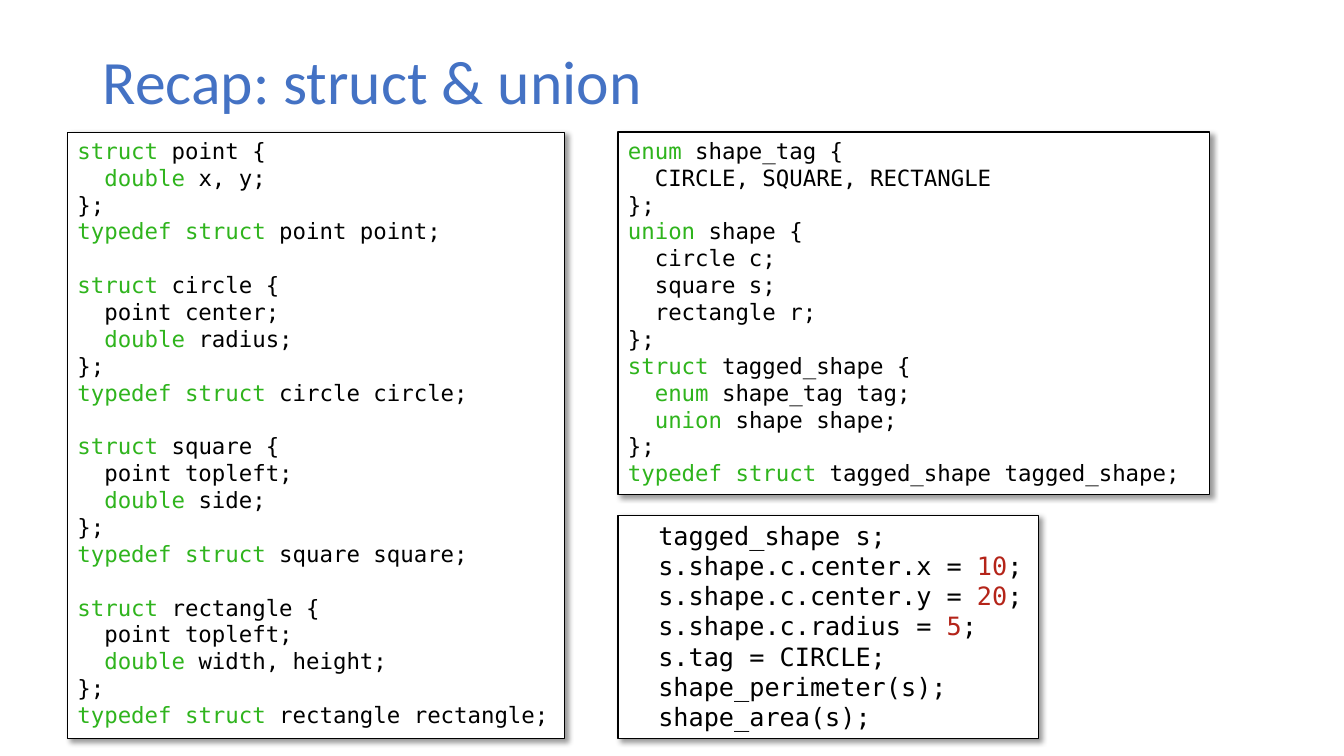
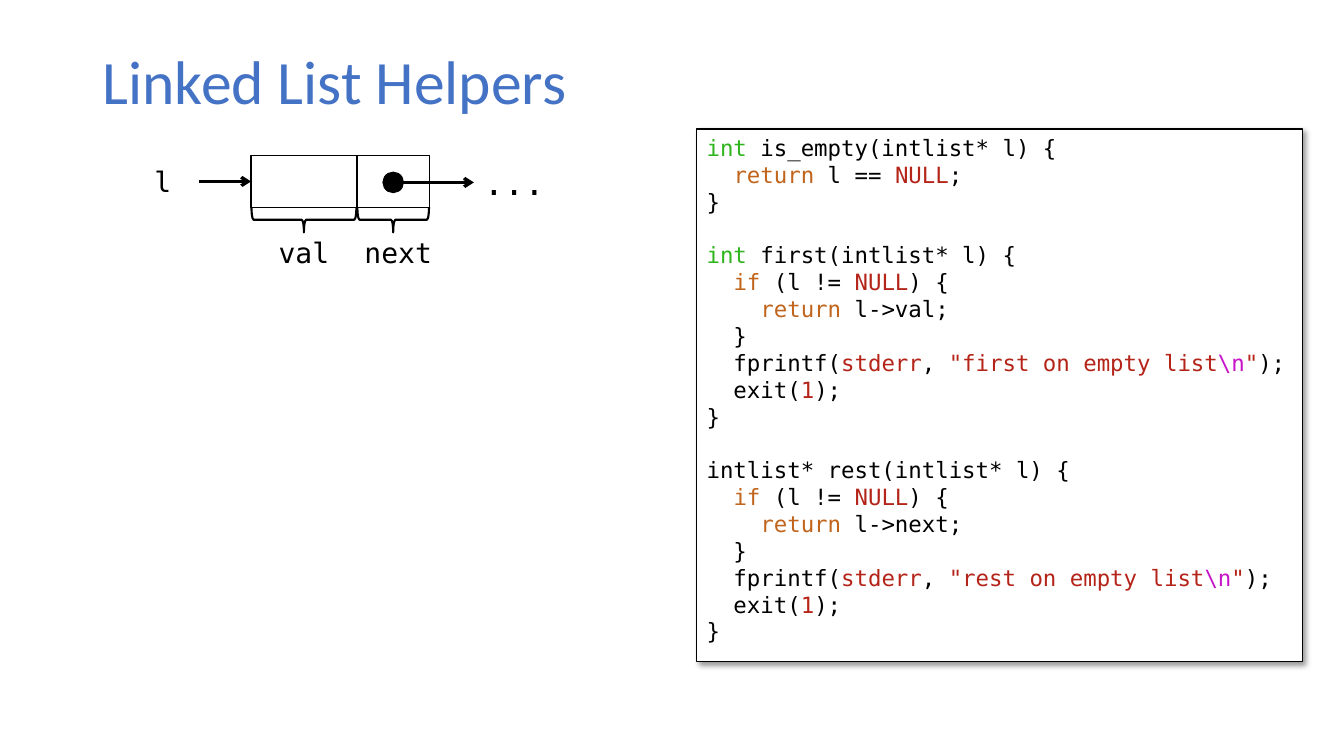
from itertools import groupby

from lxml.etree import SubElement
from pptx import Presentation
from pptx.dml.color import RGBColor
from pptx.enum.shapes import MSO_CONNECTOR, MSO_SHAPE as SHAPE
from pptx.enum.text import MSO_ANCHOR as ANCHOR, PP_ALIGN as ALIGN
from pptx.oxml.ns import qn
from pptx.util import Inches, Pt

COLORS = {
    "title": "4472C4",
    "black": "000000",
    "white": "FFFFFF",
    "type": "2FB41D",
    "control": "C1651C",
    "literal": "B42419",
    "escape": "C814C9",
}
WORDS = {
    **dict.fromkeys(["struct", "typedef", "enum", "union", "int", "double"], "type"),
    **dict.fromkeys(["return", "if"], "control"),
    **dict.fromkeys(["NULL", "stderr"], "literal"),
}

SHAPE_TYPES = """\
struct point {
  double x, y;
};
typedef struct point point;

struct circle {
  point center;
  double radius;
};
typedef struct circle circle;

struct square {
  point topleft;
  double side;
};
typedef struct square square;

struct rectangle {
  point topleft;
  double width, height;
};
typedef struct rectangle rectangle;"""

TAGGED_UNION = """\
enum shape_tag {
  CIRCLE, SQUARE, RECTANGLE
};
union shape {
  circle c;
  square s;
  rectangle r;
};
struct tagged_shape {
  enum shape_tag tag;
  union shape shape;
};
typedef struct tagged_shape tagged_shape;"""

USAGE = """\
  tagged_shape s;
  s.shape.c.center.x = 10;
  s.shape.c.center.y = 20;
  s.shape.c.radius = 5;
  s.tag = CIRCLE;
  shape_perimeter(s);
  shape_area(s);"""

LIST_HELPERS = r"""int is_empty(intlist* l) {
  return l == NULL;
}

int first(intlist* l) {
  if (l != NULL) {
    return l->val;
  }
  fprintf(stderr, "first on empty list\n");
  exit(1);
}

intlist* rest(intlist* l) {
  if (l != NULL) {
    return l->next;
  }
  fprintf(stderr, "rest on empty list\n");
  exit(1);
}"""


def color(name):
    return RGBColor.from_string(COLORS[name])


def tokens(line):
    for index, part in enumerate(line.split('"')):
        if index % 2:
            body, newline, rest = part.partition(r"\n")
            yield '"' + body, "literal"
            yield newline, "escape"
            yield rest + '"', "literal"
        else:
            for _, letters in groupby(part, lambda c: c.isalnum() or c == "_"):
                word = "".join(letters)
                yield word, "literal" if word.isdigit() else WORDS.get(word, "black")


def colored_runs(line):
    for name, group in groupby(tokens(line), lambda token: token[1]):
        yield "".join(text for text, _ in group), name


class Deck:
    """Hold the shared style and the current slide, and draw its elements."""

    TITLE_FONT = "Calibri"
    CODE_FONT = "DejaVu Sans Mono"
    LINE_PITCH = 1.2

    def __init__(self):
        self.presentation = Presentation()
        self.presentation.slide_width = Inches(13.33)
        self.presentation.slide_height = Inches(7.5)
        self.slide = None

    def new_slide(self, title):
        layout = self.presentation.slide_layouts[6]
        self.slide = self.presentation.slides.add_slide(layout)
        box = self.label(title, 0.92, 0.4, 11.5, 0.87, size=44, align=ALIGN.LEFT,
                         font=self.TITLE_FONT, ink="title")
        box.text_frame.vertical_anchor = ANCHOR.MIDDLE
        box.text_frame.paragraphs[0].line_spacing = 0.9

    def style(self, paragraph, size, font, ink="black"):
        paragraph.font.name = font
        paragraph.font.size = Pt(size)
        paragraph.font.color.rgb = color(ink)

    def label(self, text, left, top, width, height, size=20, align=ALIGN.CENTER,
              font=CODE_FONT, ink="black"):
        box = self.slide.shapes.add_textbox(
            Inches(left), Inches(top), Inches(width), Inches(height))
        box.text_frame.word_wrap = True
        paragraph = box.text_frame.paragraphs[0]
        paragraph.text = text
        paragraph.alignment = align
        self.style(paragraph, size, font, ink)
        return box

    def outline(self, kind, left, top, width, height, line=1, fill="white"):
        shape = self.slide.shapes.add_shape(
            kind, Inches(left), Inches(top), Inches(width), Inches(height))
        shape.shadow.inherit = False
        if fill:
            shape.fill.solid()
            shape.fill.fore_color.rgb = color(fill)
        else:
            shape.fill.background()
        shape.line.color.rgb = color("black")
        shape.line.width = Pt(line)
        return shape

    def drop_shadow(self, shape):
        effects = shape._element.spPr.find(qn("a:effectLst"))
        shadow = SubElement(effects, qn("a:outerShdw"), blurRad=str(Pt(4)),
                            dist=str(Pt(3)), dir="2700000", algn="tl", rotWithShape="0")
        tint = SubElement(shadow, qn("a:srgbClr"), val=COLORS["black"])
        SubElement(tint, qn("a:alpha"), val="40000")

    def code(self, source, left, top, width, height, size=16):
        shape = self.outline(SHAPE.RECTANGLE, left, top, width, height, line=0.75)
        self.drop_shadow(shape)
        frame = shape.text_frame
        frame.word_wrap = True
        frame.vertical_anchor = ANCHOR.TOP
        paragraph = frame.paragraphs[0]
        for block_index, block in enumerate(source.split("\n\n")):
            for line_index, line in enumerate(block.split("\n")):
                if block_index or line_index:
                    paragraph = frame.add_paragraph()
                paragraph.alignment = ALIGN.LEFT
                if block_index and not line_index:
                    paragraph.space_before = Pt(size * self.LINE_PITCH)
                self.style(paragraph, size, self.CODE_FONT)
                for text, name in colored_runs(line):
                    run = paragraph.add_run()
                    run.text = text
                    run.font.color.rgb = color(name)

    def brace_below(self, center, middle, length, depth=0.25):
        brace = self.outline(SHAPE.LEFT_BRACE, center - depth / 2, middle - length / 2,
                             depth, length, line=1.5, fill=None)
        brace.rotation = 270

    def arrow(self, x1, x2, y, source=None, target=None):
        connector = self.slide.shapes.add_connector(
            MSO_CONNECTOR.STRAIGHT, Inches(x1), Inches(y), Inches(x2), Inches(y))
        if source:
            connector.begin_connect(source, 3)
        if target:
            connector.end_connect(target, 1)
        connector.line.color.rgb = color("black")
        connector.line.width = Pt(2.25)
        SubElement(connector.line._get_or_add_ln(), qn("a:tailEnd"), type="arrow")
        SubElement(connector._element.spPr, qn("a:effectLst"))


def recap_slide(deck):
    deck.new_slide("Recap: struct & union")
    deck.code(SHAPE_TYPES, 0.67, 1.31, 4.93, 6.02)
    deck.code(TAGGED_UNION, 6.13, 1.31, 5.87, 3.6)
    deck.code(USAGE, 6.13, 5.11, 4.17, 2.22, size=18)


def helpers_slide(deck):
    deck.new_slide("Linked List Helpers")
    cells = {}
    for name, left, width, label_left, label_width in (
        ("val", 2.49, 1.05, 2.66, 0.71),
        ("next", 3.54, 0.72, 3.51, 0.88),
    ):
        cells[name] = deck.outline(SHAPE.RECTANGLE, left, 1.54, width, 0.52)
        deck.brace_below(left + width / 2, 2.18, width - 0.01)
        deck.label(name, label_left, 2.29, label_width, 0.44)
    deck.outline(SHAPE.OVAL, 3.8, 1.71, 0.2, 0.2, fill="black")
    pointer = deck.label("l", 1.26, 1.58, 0.71, 0.44)
    dots = deck.label("...", 4.7, 1.56, 0.85, 0.5, size=24, align=ALIGN.LEFT)
    deck.arrow(1.97, 2.49, 1.8, source=pointer, target=cells["val"])
    deck.arrow(4, 4.7, 1.81, target=dots)
    deck.code(LIST_HELPERS, 6.91, 1.28, 6.01, 5.28)


def main():
    deck = Deck()
    recap_slide(deck)
    helpers_slide(deck)
    deck.presentation.save("out.pptx")


if __name__ == "__main__":
    main()
